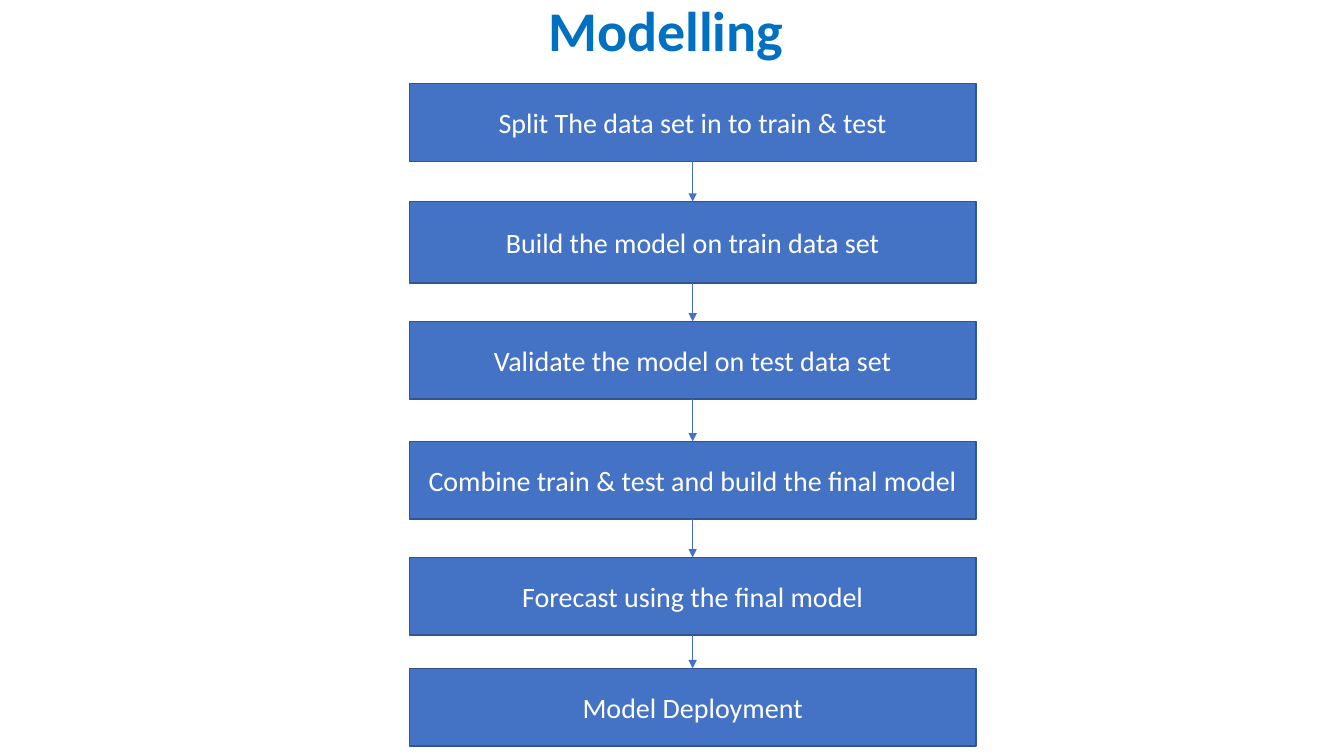
import pptx
import pptx.dml.color
import pptx.enum.shapes
import pptx.enum.text
import pptx.oxml
import pptx.oxml.ns
import pptx.util

Inches = pptx.util.Inches
Pt = pptx.util.Pt

STEPS = [
    ("Split The data set in to train & test", 0, 0.77),
    ("Build the model on train data set", 1.17, 0.81),
    ("Validate the model on test data set", 2.36, 0.77),
    ("Combine train & test and build the final model", 3.55, 0.77),
    ("Forecast using the final model", 4.7, 0.77),
    ("Model Deployment", 5.8, 0.77),
]


def color(value):
    return pptx.dml.color.RGBColor.from_string(value)


def write(shape, text, size, fill, bold=False):
    paragraph = shape.text_frame.paragraphs[0]
    paragraph.text = text
    font = paragraph.runs[0].font
    font.name = "Calibri"
    font.size = Pt(size)
    font.bold = bold
    font.color.rgb = color(fill)
    return paragraph


def add_title(slide, left, top, width, height):
    title = slide.shapes.add_textbox(
        Inches(left), Inches(top), Inches(width), Inches(height))
    title.text_frame.word_wrap = True
    write(title, "Modelling", 40, "0070C0", bold=True)


def add_step(slide, text, left, top, width, height):
    step = slide.shapes.add_shape(
        pptx.enum.shapes.MSO_SHAPE.RECTANGLE,
        Inches(left), Inches(top), Inches(width), Inches(height))
    step.shadow.inherit = False
    step.fill.solid()
    step.fill.fore_color.rgb = color("4472C4")
    step.line.color.rgb = color("325491")
    step.line.width = Pt(1)
    step.text_frame.word_wrap = True
    step.text_frame.vertical_anchor = pptx.enum.text.MSO_ANCHOR.MIDDLE
    paragraph = write(step, text, 20, "FFFFFF")
    paragraph.alignment = pptx.enum.text.PP_ALIGN.CENTER
    return step


def add_arrow(slide, upper, lower):
    arrow = slide.shapes.add_connector(
        pptx.enum.shapes.MSO_CONNECTOR.STRAIGHT, 0, 0, 0, 0)
    arrow.begin_connect(upper, 2)
    arrow.end_connect(lower, 0)
    arrow.line.color.rgb = color("4472C4")
    arrow.line.width = Pt(0.5)
    namespace = pptx.oxml.ns.nsdecls("a")
    arrow.line._get_or_add_ln().append(
        pptx.oxml.parse_xml(f'<a:tailEnd {namespace} type="triangle"/>'))
    arrow._element.spPr.append(
        pptx.oxml.parse_xml(f"<a:effectLst {namespace}/>"))


def add_flow(slide, left, top, width):
    steps = [add_step(slide, text, left, top + offset, width, height)
             for text, offset, height in STEPS]
    for upper, lower in zip(steps, steps[1:]):
        add_arrow(slide, upper, lower)


def main():
    presentation = pptx.Presentation()
    presentation.slide_width = Inches(13.33)
    presentation.slide_height = Inches(7.5)
    slide = presentation.slides.add_slide(presentation.slide_layouts[6])
    add_title(slide, 5.34, -0.09, 3.54, 0.77)
    add_flow(slide, 4.06, 0.83, 5.62)
    presentation.save("out.pptx")


if __name__ == "__main__":
    main()
